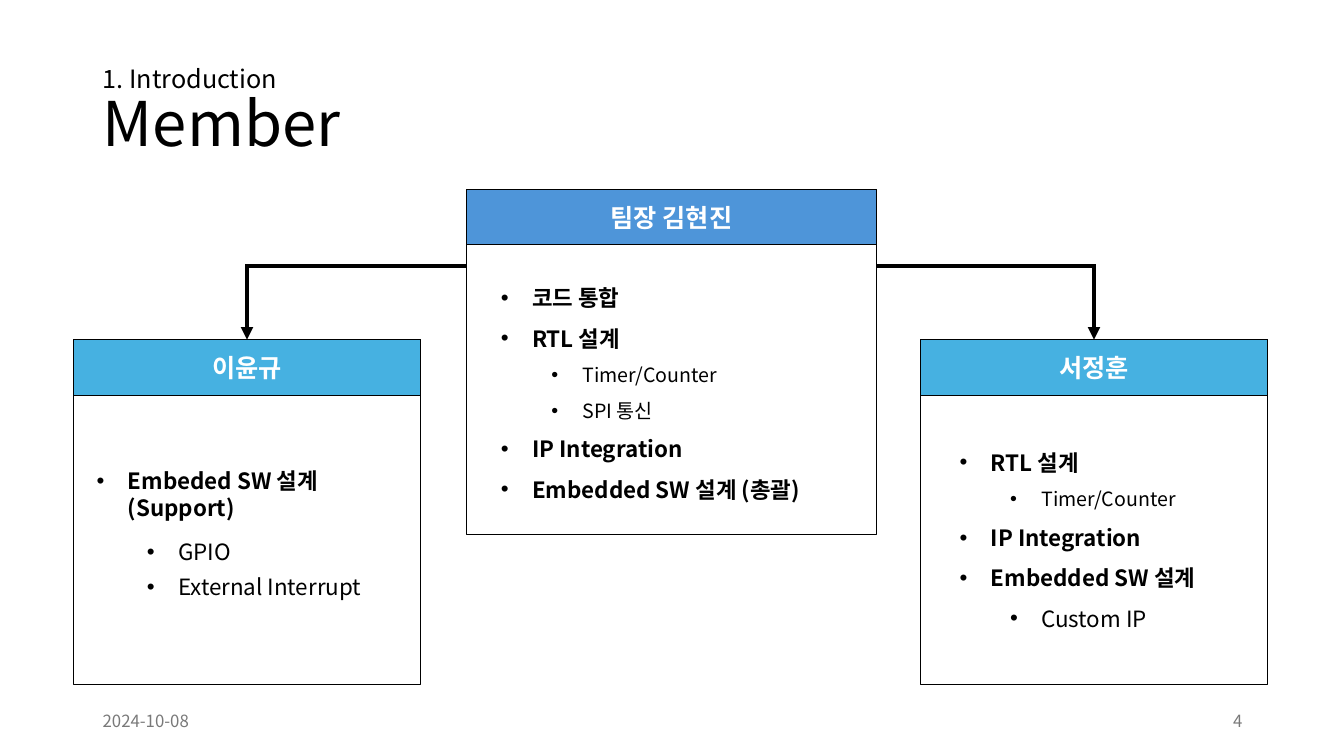
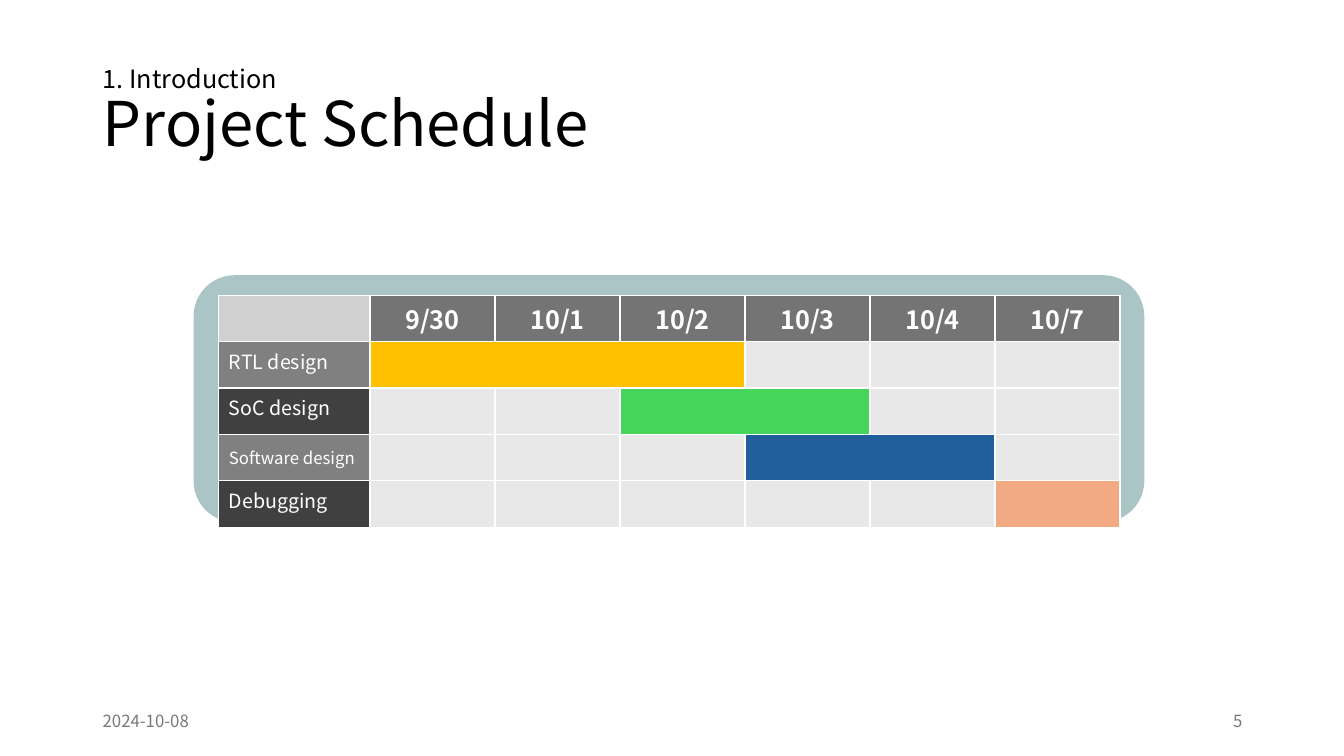
from dataclasses import dataclass

from lxml.etree import SubElement
from pptx import Presentation
from pptx.dml.color import RGBColor
from pptx.enum.shapes import MSO_CONNECTOR as Connector, MSO_SHAPE as Shape
from pptx.enum.text import MSO_ANCHOR as Anchor, PP_ALIGN as Align
from pptx.oxml.ns import qn
from pptx.util import Pt

PX = 9144  # 100 px to the inch


@dataclass(frozen=True)
class Theme:
    font: str = "Noto Sans CJK KR"
    black: str = "000000"
    white: str = "FFFFFF"
    muted: str = "797979"
    leader: str = "4E95D9"
    member: str = "46B1E1"
    panel: str = "ABC5C6"
    corner: str = "D1D1D1"
    header: str = "747474"
    row_labels: tuple = ("808080", "404040")
    empty: str = "E8E8E8"
    title_size: int = 44
    heading_size: int = 18
    body_size: int = 16
    detail_size: int = 14
    small_size: int = 12


THEME = Theme()
SECTION = "1. Introduction"
DATE = "2024-10-08"
CARD_HEIGHT, BAND_HEIGHT = 342, 55
CENTRE_LINE = 264
DATES = ["9/30", "10/1", "10/2", "10/3", "10/4", "10/7"]
# task, label size, first day, number of days, bar colour
TASKS = [
    ("RTL design", THEME.detail_size, 1, 3, "FFC000"),
    ("SoC design", THEME.detail_size, 3, 2, "47D45A"),
    ("Software design", THEME.small_size, 4, 2, "215F9A"),
    ("Debugging", THEME.detail_size, 6, 1, "F2AA84"),
]


def emu(*lengths):
    return [length * PX for length in lengths]


def rgb(colour):
    return RGBColor.from_string(colour)


def write(paragraph, text, size=THEME.body_size, colour=THEME.black, bold=False,
          align=None, line_spacing=None, after=None):
    """Add one formatted run and set the format of its paragraph."""
    run = paragraph.add_run()
    run.text = text
    font = run.font
    font.size, font.bold, font.name = Pt(size), bold, THEME.font
    font.color.rgb = rgb(colour)
    SubElement(font._element, qn("a:ea")).set("typeface", THEME.font)
    if align is not None:
        paragraph.alignment = align
    if line_spacing is not None:
        paragraph.line_spacing = line_spacing
    if after is not None:
        paragraph.space_after = Pt(after)


def add_text_box(slide, box, anchor=Anchor.TOP):
    frame = slide.shapes.add_textbox(*emu(*box)).text_frame
    frame.word_wrap = True
    frame.vertical_anchor = anchor
    return frame


def add_box(slide, box, fill=None, line=None, kind=Shape.RECTANGLE):
    shape = slide.shapes.add_shape(kind, *emu(*box))
    shape.shadow.inherit = False
    if fill:
        shape.fill.solid()
        shape.fill.fore_color.rgb = rgb(fill)
    else:
        shape.fill.background()
    if line:
        shape.line.color.rgb = rgb(line)
        shape.line.width = Pt(0.75)
    else:
        shape.line.fill.background()
    return shape


def add_card(slide, left, top, width, name, colour):
    """Draw an outlined card and return its name band."""
    add_box(slide, (left, top, width, CARD_HEIGHT), line=THEME.black)
    band = add_box(slide, (left, top, width, BAND_HEIGHT), colour, THEME.black)
    band.text_frame.vertical_anchor = Anchor.MIDDLE
    write(band.text_frame.paragraphs[0], name, THEME.heading_size, THEME.white,
          bold=True, align=Align.CENTER)
    return band


def add_bullets(slide, box, items, line_spacing=None):
    """Items are (level, text, size, points after)."""
    frame = add_text_box(slide, box)
    for index, (level, text, size, after) in enumerate(items):
        paragraph = frame.paragraphs[0] if index == 0 else frame.add_paragraph()
        paragraph.level = level
        write(paragraph, text, size, bold=level == 0,
              line_spacing=line_spacing, after=after)
        properties = paragraph._p.get_or_add_pPr()
        properties.set("marL", str((31 + 50 * level) * PX))
        properties.set("indent", str(-31 * PX))
        SubElement(properties, qn("a:buFont")).set("typeface", "Arial")
        SubElement(properties, qn("a:buChar")).set("char", "•")


def add_line(slide, start, end, arrow=False):
    connector = slide.shapes.add_connector(Connector.STRAIGHT, *emu(*start, *end))
    connector.line.color.rgb = rgb(THEME.black)
    connector.line.width = Pt(3)
    if arrow:
        SubElement(connector.line._get_or_add_ln(), qn("a:tailEnd")).set("type", "triangle")
    SubElement(connector._element.spPr, qn("a:effectLst"))
    return connector


def add_branch(slide, start_x, band):
    """Lead from the leader's side out and down to a member's name band."""
    middle = round((band.left + band.width / 2) / PX)
    add_line(slide, (start_x, CENTRE_LINE), (middle, CENTRE_LINE))
    drop = add_line(slide, (middle, CENTRE_LINE - 2), (middle, band.top // PX), arrow=True)
    drop.end_connect(band, 0)


def add_titled_slide(presentation, title, number):
    slide = presentation.slides.add_slide(presentation.slide_layouts[5])
    placeholder = slide.shapes.title
    placeholder.left, placeholder.top, placeholder.width, placeholder.height = emu(
        92, 40, 1150, 145)
    frame = placeholder.text_frame
    frame.word_wrap = True
    frame.vertical_anchor = Anchor.MIDDLE
    paragraph = frame.paragraphs[0]
    write(paragraph, SECTION, THEME.heading_size, align=Align.LEFT, line_spacing=0.9)
    paragraph.add_line_break()
    write(paragraph, title, THEME.title_size)
    for left, text, align in ((92, DATE, Align.LEFT), (942, str(number), Align.RIGHT)):
        footer = add_text_box(slide, (left, 695, 300, 40), Anchor.MIDDLE)
        write(footer.paragraphs[0], text, THEME.small_size, THEME.muted, align=align)
    return slide


def add_member_slide(presentation):
    slide = add_titled_slide(presentation, "Member", 4)
    body, detail = THEME.body_size, THEME.detail_size
    add_card(slide, 463, 188, 406, "팀장 김현진", THEME.leader)
    right_band = add_card(slide, 913, 337, 344, "서정훈", THEME.member)
    left_band = add_card(slide, 73, 337, 344, "이윤규", THEME.member)
    add_branch(slide, 463, left_band)
    add_branch(slide, 869, right_band)
    add_bullets(slide, (487, 264, 359, 237), [
        (0, "코드 통합", body, None),
        (0, "RTL 설계", body, None),
        (1, "Timer/Counter", detail, None),
        (1, "SPI 통신", detail, None),
        (0, "IP Integration", body, None),
        (0, "Embedded SW 설계 (총괄)", body, None),
    ], line_spacing=1.5)
    add_bullets(slide, (86, 459, 317, 143), [
        (0, "Embeded SW 설계(Support)", body, 12),
        (1, "GPIO", body, 6),
        (1, "External Interrupt", body, 12),
    ])
    add_bullets(slide, (942, 427, 286, 206), [
        (0, "RTL 설계", body, None),
        (1, "Timer/Counter", detail, None),
        (0, "IP Integration", body, None),
        (0, "Embedded SW 설계", body, None),
        (1, "Custom IP", body, None),
    ], line_spacing=1.5)


def format_cell(cell, fill):
    properties = cell._tc.get_or_add_tcPr()
    for side in ("a:lnL", "a:lnR", "a:lnT", "a:lnB"):
        border = SubElement(properties, qn(side), w=str(Pt(1)))
        colour = SubElement(SubElement(border, qn("a:solidFill")), qn("a:srgbClr"))
        colour.set("val", THEME.white)
    cell.fill.solid()
    cell.fill.fore_color.rgb = rgb(fill)


def add_schedule_slide(presentation):
    slide = add_titled_slide(presentation, "Project Schedule", 5)
    add_box(slide, (192, 273, 943, 245), THEME.panel, kind=Shape.ROUNDED_RECTANGLE)
    rows, columns = len(TASKS) + 1, len(DATES) + 1
    row_height = 46
    table = slide.shapes.add_table(
        rows, columns, *emu(217, 293, 894, row_height * rows)).table
    for index, column in enumerate(table.columns):
        column.width = (124 if index else 150) * PX

    format_cell(table.cell(0, 0), THEME.corner)
    for column, date in enumerate(DATES, 1):
        cell = table.cell(0, column)
        format_cell(cell, THEME.header)
        write(cell.text_frame.paragraphs[0], date, THEME.heading_size, THEME.white,
              bold=True, align=Align.CENTER)

    for row, (task, size, first, days, colour) in enumerate(TASKS, 1):
        label = table.cell(row, 0)
        format_cell(label, THEME.row_labels[(row - 1) % 2])
        write(label.text_frame.paragraphs[0], task, size, THEME.white)
        if size == THEME.small_size:
            label.vertical_anchor = Anchor.MIDDLE
        for column in range(1, columns):
            busy = first <= column < first + days
            format_cell(table.cell(row, column), colour if busy else THEME.empty)
        if days > 1:
            table.cell(row, first).merge(table.cell(row, first + days - 1))


def main():
    presentation = Presentation()
    presentation.slide_width, presentation.slide_height = emu(1333, 750)
    add_member_slide(presentation)
    add_schedule_slide(presentation)
    presentation.save("out.pptx")


if __name__ == "__main__":
    main()
